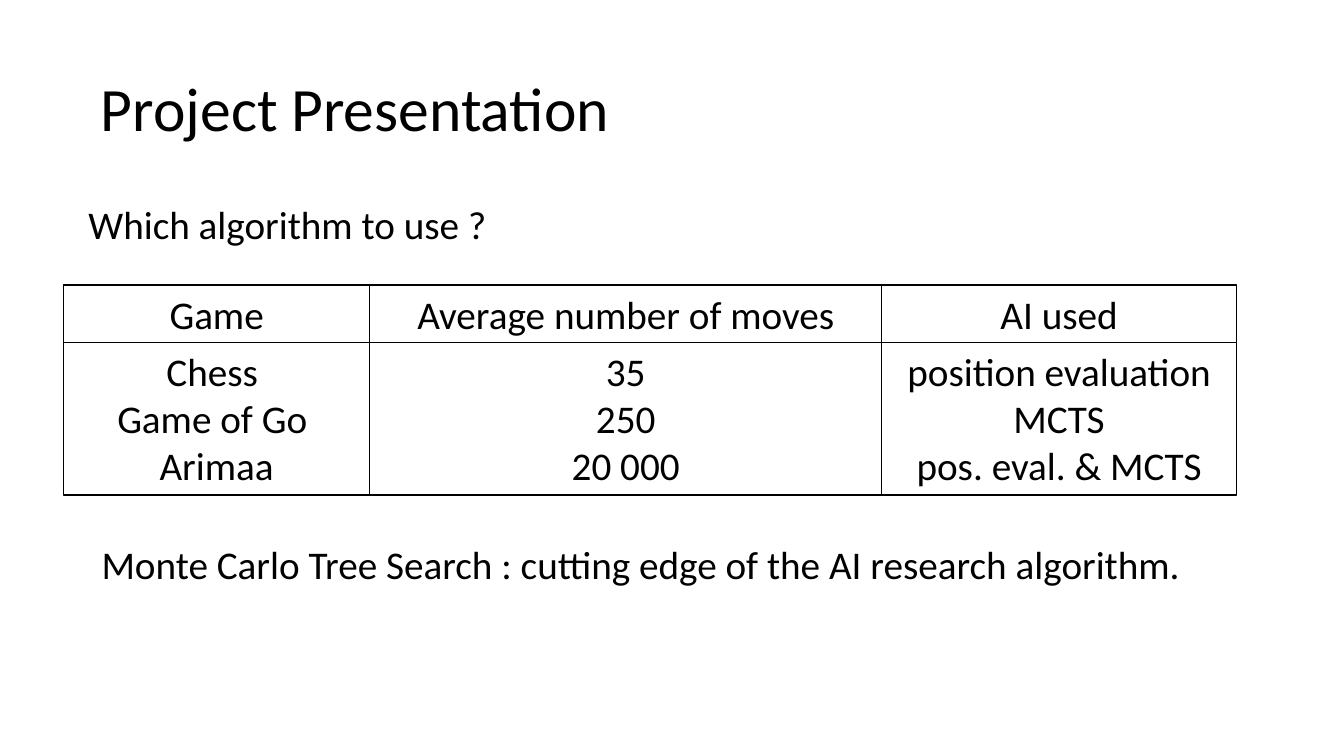
"""Build the project presentation slide with its grid of games and algorithms."""
import pptx
import pptx.dml.color
import pptx.enum.shapes
import pptx.enum.text
import pptx.util

Cm = pptx.util.Cm
Pt = pptx.util.Pt
ALIGN = pptx.enum.text.PP_ALIGN
ANCHOR = pptx.enum.text.MSO_ANCHOR
FIT = pptx.enum.text.MSO_AUTO_SIZE
BLACK = pptx.dml.color.RGBColor(0, 0, 0)
WHITE = pptx.dml.color.RGBColor(255, 255, 255)


def write(box, lines, size, frame_format, para_format):
    for name, value in frame_format.items():
        setattr(box.text_frame, name, value)
    box.text_frame.text = "\n".join(lines)
    font_format = {"name": "Calibri", "size": Pt(size), "bold": False}
    for para in box.text_frame.paragraphs:
        for name, value in para_format.items():
            setattr(para, name, value)
        for name, value in font_format.items():
            setattr(para.font, name, value)
        para.font.color.rgb = BLACK


deck = pptx.Presentation()
deck.slide_width = Cm(33.87)
deck.slide_height = Cm(19.05)
page = deck.slides.add_slide(deck.slide_layouts[5])
page.background.fill.solid()
page.background.fill.fore_color.rgb = WHITE

title = page.shapes.title
question = page.shapes.add_textbox(0, 0, 0, 0)
conclusion = page.shapes.add_textbox(0, 0, 0, 0)
texts = [
    (title, "Project Presentation", 44, 2.29, 0.97, 3.68, ANCHOR.MIDDLE),
    (question, "Which algorithm to use ?", 28, 1.98, 4.29, 2.84, ANCHOR.MIDDLE),
    (
        conclusion,
        "Monte Carlo Tree Search : cutting edge of the AI research algorithm.",
        28, 2.31, 13.63, 4.06, ANCHOR.TOP,
    ),
]
for box, text, size, left, top, height, anchor in texts:
    place = {"left": Cm(left), "top": Cm(top), "width": Cm(29.21), "height": Cm(height)}
    for name, value in place.items():
        setattr(box, name, value)
    frame_format = {"word_wrap": True, "auto_size": FIT.NONE, "vertical_anchor": anchor}
    para_format = {"alignment": ALIGN.LEFT, "line_spacing": 0.9, "space_before": Pt(0)}
    write(box, [text], size, frame_format, para_format)

columns = [
    (7.72, "Game", ["Chess ", "Game of Go ", "Arimaa"]),
    (12.9, "Average number of moves", ["35", "250", "20 000"]),
    (8.94, "AI used", ["position evaluation", "MCTS", "pos. eval. & MCTS"]),
]
grid_top = 7.18
header_height = 1.45
body_height = 3.85
cell_format = {
    "word_wrap": True,
    "auto_size": FIT.SHAPE_TO_FIT_TEXT,
    "vertical_anchor": ANCHOR.TOP,
}
left = 1.6
for width, heading, entries in columns:
    cells = [
        (grid_top + header_height, body_height, entries),
        (grid_top, header_height, [heading]),
    ]
    for top, height, lines in cells:
        cell = page.shapes.add_shape(
            pptx.enum.shapes.MSO_SHAPE.RECTANGLE,
            Cm(left), Cm(top), Cm(width), Cm(height),
        )
        cell.shadow.inherit = False
        cell.fill.solid()
        cell.fill.fore_color.rgb = WHITE
        cell.line.color.rgb = BLACK
        cell.line.width = Pt(1)
        write(cell, lines, 28, cell_format, {"alignment": ALIGN.CENTER})
    left += width

deck.save("out.pptx")
